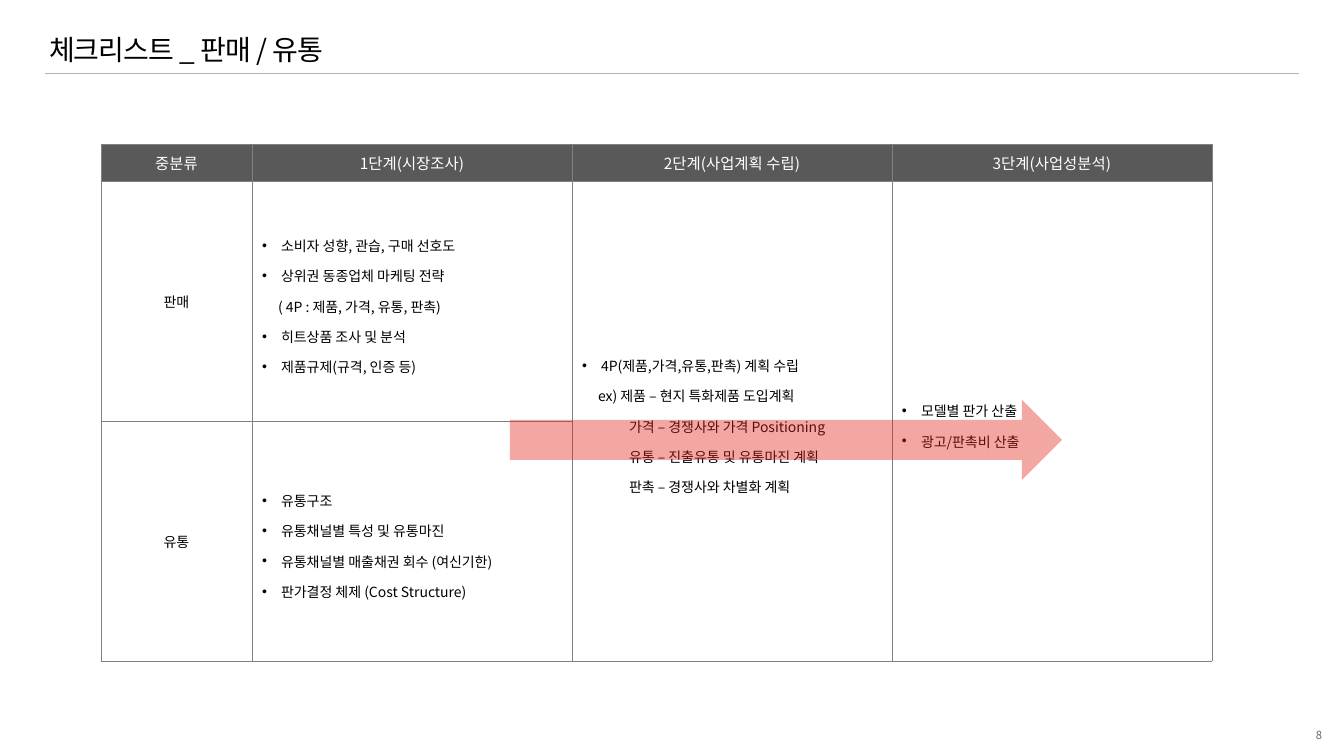
from dataclasses import dataclass

from lxml.etree import SubElement
from pptx import Presentation
from pptx.dml.color import RGBColor
from pptx.enum.shapes import MSO_CONNECTOR as Connector, MSO_SHAPE as Preset
from pptx.enum.text import MSO_ANCHOR as Anchor, MSO_AUTO_SIZE as AutoSize, PP_ALIGN as Align
from pptx.oxml.ns import qn
from pptx.util import Emu, Pt

EMU_PER_PX = 914400 / 100.8


@dataclass(frozen=True)
class Theme:
    """Font, colours and type sizes of the slide."""
    font: str = "Noto Sans CJK KR"
    text: str = "000000"
    header_text: str = "FFFFFF"
    header_fill: str = "595959"
    grid: str = "808080"
    rule: str = "B4B4B5"
    arrow: str = "E1251B"
    page: str = "636569"
    title_size: int = 20
    header_size: int = 11
    body_size: int = 10
    page_size: int = 8


THEME = Theme()
BULLET, NOTE, EXAMPLE = "bullet", "note", "example"
LEFT_INDENTS = {BULLET: 19, NOTE: 16, EXAMPLE: 47}

COLUMN_WIDTHS = [151, 320, 320, 320]
ROW_HEIGHTS = [37, 240, 240]
HEADERS = ["중분류", "1단계(시장조사)", "2단계(사업계획 수립)", "3단계(사업성분석)"]
CATEGORIES = ["판매", "유통"]
CHECKLISTS = {
    (1, 1): [
        (BULLET, "소비자 성향, 관습, 구매 선호도"),
        (BULLET, "상위권 동종업체 마케팅 전략"),
        (NOTE, "( 4P : 제품, 가격, 유통, 판촉)"),
        (BULLET, "히트상품 조사 및 분석"),
        (BULLET, "제품규제(규격, 인증 등)"),
    ],
    (2, 1): [
        (BULLET, "유통구조"),
        (BULLET, "유통채널별 특성 및 유통마진"),
        (BULLET, "유통채널별 매출채권 회수 (여신기한)"),
        (BULLET, "판가결정 체제 (Cost Structure)"),
    ],
    (1, 2): [
        (BULLET, "4P(제품,가격,유통,판촉) 계획 수립"),
        (NOTE, "ex) 제품 – 현지 특화제품 도입계획"),
        (EXAMPLE, "가격 – 경쟁사와 가격 Positioning"),
        (EXAMPLE, "유통 – 진출유통 및 유통마진 계획"),
        (EXAMPLE, "판촉 – 경쟁사와 차별화 계획"),
    ],
    (1, 3): [
        (BULLET, "모델별 판가 산출"),
        (BULLET, "광고/판촉비 산출"),
    ],
}


def px(length):
    """Turn pixels into EMU."""
    return Emu(round(length * EMU_PER_PX))


def rgb(color):
    """Turn a hex string into a colour."""
    return RGBColor.from_string(color)


def format_runs(paragraph, size, color):
    """Set font, size and colour on every run of a paragraph."""
    for run in paragraph.runs:
        run.font.size = Pt(size)
        run.font.bold = False
        run.font.color.rgb = rgb(color)
        run.font.name = THEME.font
        SubElement(run.font._element, qn("a:ea"), typeface=THEME.font)


def set_margins(text_frame, horizontal, vertical):
    """Set the insets of a text frame."""
    text_frame.margin_left = text_frame.margin_right = px(horizontal)
    text_frame.margin_top = text_frame.margin_bottom = px(vertical)


def add_title(slide, text):
    """Fill and place the title placeholder."""
    title = slide.shapes.title
    title.left, title.top, title.width, title.height = map(px, (49, 32, 937, 39))
    text_frame = title.text_frame
    text_frame.text = text
    text_frame.auto_size = AutoSize.NONE
    text_frame.vertical_anchor = Anchor.MIDDLE
    set_margins(text_frame, 0, 5)
    paragraph = text_frame.paragraphs[0]
    paragraph.alignment = Align.LEFT
    paragraph.line_spacing = 0.9
    format_runs(paragraph, THEME.title_size, THEME.text)
    paragraph.runs[0].font._element.set("spc", "-70")


def add_rule(slide):
    """Draw the line below the title."""
    rule = slide.shapes.add_connector(Connector.STRAIGHT, px(45), px(73), px(1299), px(73))
    rule.line.color.rgb = rgb(THEME.rule)
    rule.line.width = Pt(0.5)
    SubElement(rule._element.spPr, qn("a:effectLst"))


def add_page_number(slide, text):
    """Write the page number in the bottom corner."""
    box = slide.shapes.add_textbox(px(1308), px(728), px(14), px(13))
    text_frame = box.text_frame
    text_frame.text = text
    text_frame.word_wrap = False
    text_frame.auto_size = AutoSize.SHAPE_TO_FIT_TEXT
    set_margins(text_frame, 0, 0)
    paragraph = text_frame.paragraphs[0]
    paragraph.alignment = Align.RIGHT
    format_runs(paragraph, THEME.page_size, THEME.page)


def style_cell(cell, fill=None):
    """Give a cell its grid lines, fill and anchor."""
    properties = cell._tc.get_or_add_tcPr()
    for side in ("lnL", "lnR", "lnT", "lnB"):
        line = SubElement(properties, qn(f"a:{side}"), w=str(Pt(0.5)))
        SubElement(SubElement(line, qn("a:solidFill")), qn("a:srgbClr"), val=THEME.grid)
    if fill:
        cell.fill.solid()
        cell.fill.fore_color.rgb = rgb(fill)
    else:
        cell.fill.background()
    cell.vertical_anchor = Anchor.MIDDLE


def write_label(cell, text, size, color):
    """Write a centred label into a cell."""
    cell.text_frame.text = text
    paragraph = cell.text_frame.paragraphs[0]
    paragraph.alignment = Align.CENTER
    format_runs(paragraph, size, color)


def write_checklist(cell, items):
    """Write bulleted and indented lines into a cell."""
    text_frame = cell.text_frame
    text_frame.text = "\n".join(text for _, text in items)
    for paragraph, (level, _) in zip(text_frame.paragraphs, items):
        paragraph.line_spacing = 1.5
        properties = paragraph._p.get_or_add_pPr()
        indent = px(LEFT_INDENTS[level])
        properties.set("marL", str(indent))
        properties.set("indent", str(-indent if level == BULLET else 0))
        if level == BULLET:
            SubElement(properties, qn("a:buFont"), typeface="Arial")
            SubElement(properties, qn("a:buChar"), char="•")
        else:
            SubElement(properties, qn("a:buNone"))
        format_runs(paragraph, THEME.body_size, THEME.text)


def add_checklist_table(slide):
    """Build the table of categories and stages."""
    frame = slide.shapes.add_table(
        len(ROW_HEIGHTS), len(COLUMN_WIDTHS), px(101), px(144),
        px(sum(COLUMN_WIDTHS)), px(sum(ROW_HEIGHTS)))
    table = frame.table
    table.first_row = table.horz_banding = False
    for column, width in zip(table.columns, COLUMN_WIDTHS):
        column.width = px(width)
    for index, (row, height) in enumerate(zip(table.rows, ROW_HEIGHTS)):
        row.height = px(height)
        for cell in row.cells:
            style_cell(cell, THEME.header_fill if index == 0 else None)
    for column in (2, 3):
        table.cell(1, column).merge(table.cell(2, column))
    for column, header in enumerate(HEADERS):
        write_label(table.cell(0, column), header, THEME.header_size, THEME.header_text)
    for row, category in enumerate(CATEGORIES, start=1):
        write_label(table.cell(row, 0), category, THEME.body_size, THEME.text)
    for position, items in CHECKLISTS.items():
        write_checklist(table.cell(*position), items)


def add_stage_arrow(slide):
    """Draw the translucent arrow across the stages."""
    arrow = slide.shapes.add_shape(Preset.RIGHT_ARROW, px(510), px(400), px(552), px(80))
    arrow.shadow.inherit = False
    arrow.fill.solid()
    arrow.fill.fore_color.rgb = rgb(THEME.arrow)
    arrow.line.fill.background()
    color = arrow._element.spPr.find(qn("a:solidFill")).find(qn("a:srgbClr"))
    SubElement(color, qn("a:alpha"), val="40000")


def main():
    """Build and save the slide."""
    presentation = Presentation()
    presentation.slide_width, presentation.slide_height = px(1344), px(756)
    slide = presentation.slides.add_slide(presentation.slide_layouts[5])
    add_rule(slide)
    add_page_number(slide, "8")
    add_checklist_table(slide)
    add_stage_arrow(slide)
    add_title(slide, "체크리스트 _ 판매 / 유통")
    presentation.save("out.pptx")


if __name__ == "__main__":
    main()
